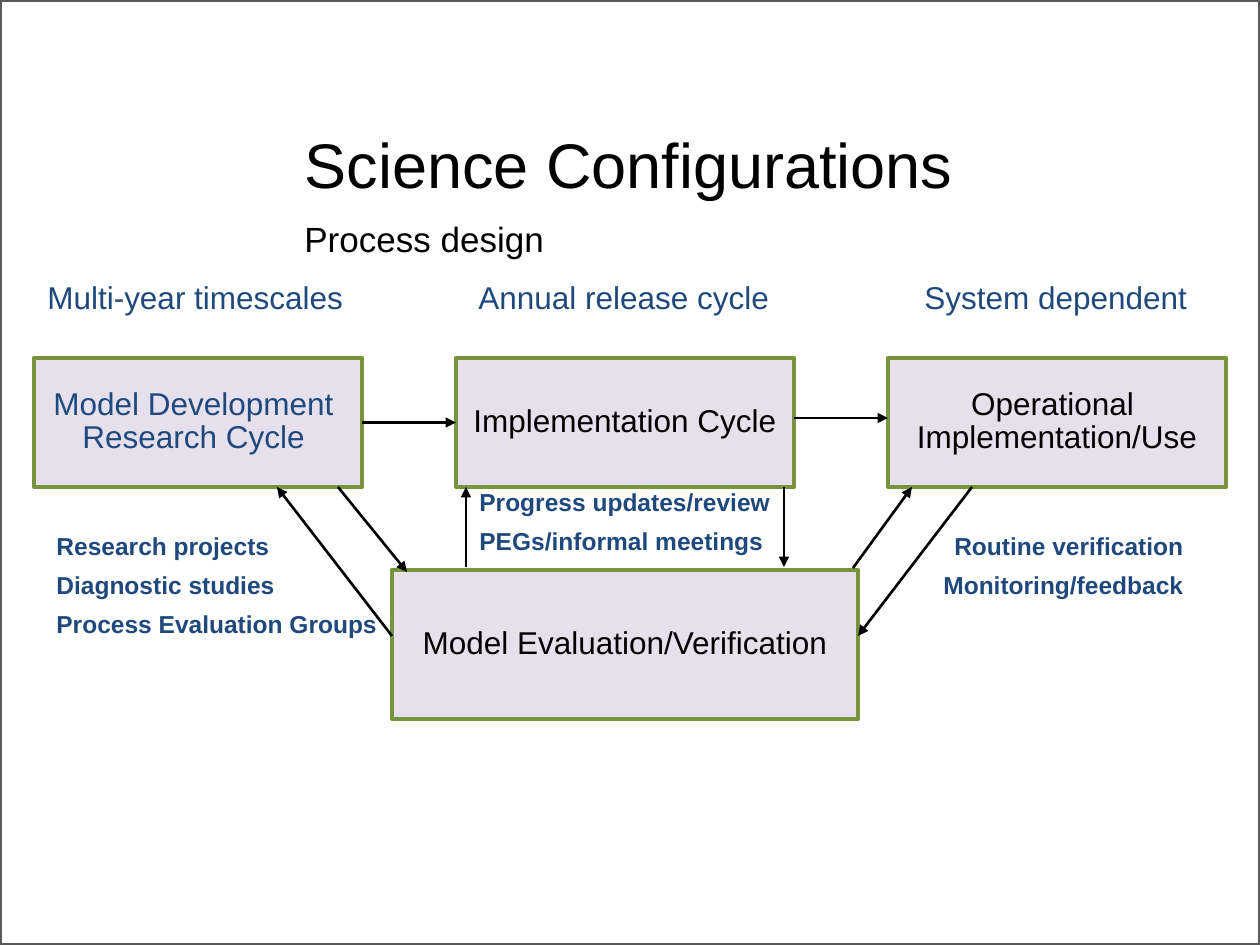
from lxml import etree
from pptx import Presentation
from pptx.dml.color import RGBColor
from pptx.enum.shapes import MSO_CONNECTOR, MSO_SHAPE
from pptx.enum.text import MSO_ANCHOR, PP_ALIGN
from pptx.oxml.ns import qn
from pptx.util import Pt

RECT, STRAIGHT = MSO_SHAPE.RECTANGLE, MSO_CONNECTOR.STRAIGHT
TOP, MIDDLE, BOTTOM = MSO_ANCHOR.TOP, MSO_ANCHOR.MIDDLE, MSO_ANCHOR.BOTTOM
LEFT, CENTER, RIGHT = PP_ALIGN.LEFT, PP_ALIGN.CENTER, PP_ALIGN.RIGHT

BLACK = RGBColor(0x00, 0x00, 0x00)
NAVY = RGBColor(0x1F, 0x49, 0x7D)
LILAC = RGBColor(0xE6, 0xE0, 0xEC)
GREEN = RGBColor(0x77, 0x93, 0x3C)
GREY = RGBColor(0x59, 0x59, 0x59)

FONT = "Arial"
PX = 914400 / 126
SLIDE_W, SLIDE_H = 1260, 945

TITLE = ("Science Configurations", (292, 79, 963, 129))
SUBTITLE = ("Process design", (292, 216, 963, 69))

BOXES = {
    "development": ("Model Development \nResearch Cycle ", (34, 358, 328, 129), NAVY),
    "implementation": ("Implementation Cycle", (456, 358, 338, 129), BLACK),
    "operation": ("Operational \nImplementation/Use", (888, 358, 338, 129), BLACK),
    "evaluation": ("Model Evaluation/Verification", (392, 570, 466, 149), BLACK),
}

HEADINGS = [
    ("Multi-year timescales", (35, 278, 377, 45)),
    ("Annual release cycle", (466, 278, 318, 45)),
    ("System dependent", (912, 278, 302, 45)),
]

NOTES = [
    ("Research projects\nDiagnostic studies\nProcess Evaluation Groups",
     (44, 529, 360, 118), LEFT),
    ("Progress updates/review\nPEGs/informal meetings", (467, 485, 360, 118), LEFT),
    ("Routine verification\nMonitoring/feedback", (868, 529, 328, 335), RIGHT),
]

ARROWS = [
    ((338, 487), (407, 572)),
    ((392, 636), (277, 487)),
    ((466, 567), (466, 487)),
    ((784, 487), (784, 567)),
    ((853, 568), (912, 487)),
    ((972, 487), (858, 636)),
    ((794, 418), (888, 418)),
]


def emu(*lengths):
    return [round(n * PX) for n in lengths]


def write(tf, text, size, color, align=LEFT, anchor=TOP, wrap=True,
          bold=False, spacing=0.85, after=0):
    tf.text = text
    tf.word_wrap = wrap
    tf.vertical_anchor = anchor
    for p in tf.paragraphs:
        p.alignment = align
        p.line_spacing = spacing
        p.space_before = Pt(0)
        p.space_after = Pt(after)
        p.font.name = FONT
        p.font.size = Pt(size)
        p.font.bold = bold
        p.font.color.rgb = color


def add_text(s, text, at, size, color, **style):
    write(s.shapes.add_textbox(*emu(*at)).text_frame, text, size, color, **style)


def add_rect(s, at, line, width, fill=None):
    sp = s.shapes.add_shape(RECT, *emu(*at))
    sp.shadow.inherit = False
    if fill is None:
        sp.fill.background()
    else:
        sp.fill.solid()
        sp.fill.fore_color.rgb = fill
    sp.line.color.rgb = line
    sp.line.width = Pt(width)
    return sp


def add_arrow(s, start, end):
    line = s.shapes.add_connector(STRAIGHT, *emu(*start, *end))
    line.line.color.rgb = BLACK
    line.line.width = Pt(1.5)
    etree.SubElement(line.line._get_or_add_ln(), qn("a:tailEnd"), type="triangle")
    etree.SubElement(line._element.spPr, qn("a:effectLst"))
    return line


def main():
    prs = Presentation()
    prs.slide_width, prs.slide_height = emu(SLIDE_W, SLIDE_H)
    s = prs.slides.add_slide(prs.slide_layouts[5])

    add_rect(s, (0, 0, SLIDE_W, SLIDE_H), GREY, 2.25)

    text, at = TITLE
    title = s.shapes.title
    title.left, title.top, title.width, title.height = emu(*at)
    write(title.text_frame, text, 36, BLACK, anchor=BOTTOM)
    text, at = SUBTITLE
    add_text(s, text, at, 20, BLACK, spacing=0.9)

    boxes = {}
    for name, (text, at, color) in BOXES.items():
        sp = boxes[name] = add_rect(s, at, GREEN, 2.5, LILAC)
        write(sp.text_frame, text, 18, color, align=CENTER, anchor=MIDDLE, wrap=False)

    for text, at in HEADINGS:
        add_text(s, text, at, 18, NAVY)
    for text, at, align in NOTES:
        add_text(s, text, at, 14, NAVY, align=align, bold=True, after=8)

    for start, end in ARROWS:
        add_arrow(s, start, end)
    release = add_arrow(s, (362, 423), (456, 423))
    release.begin_connect(boxes["development"], 3)
    release.end_connect(boxes["implementation"], 1)

    prs.save("out.pptx")


if __name__ == "__main__":
    main()
